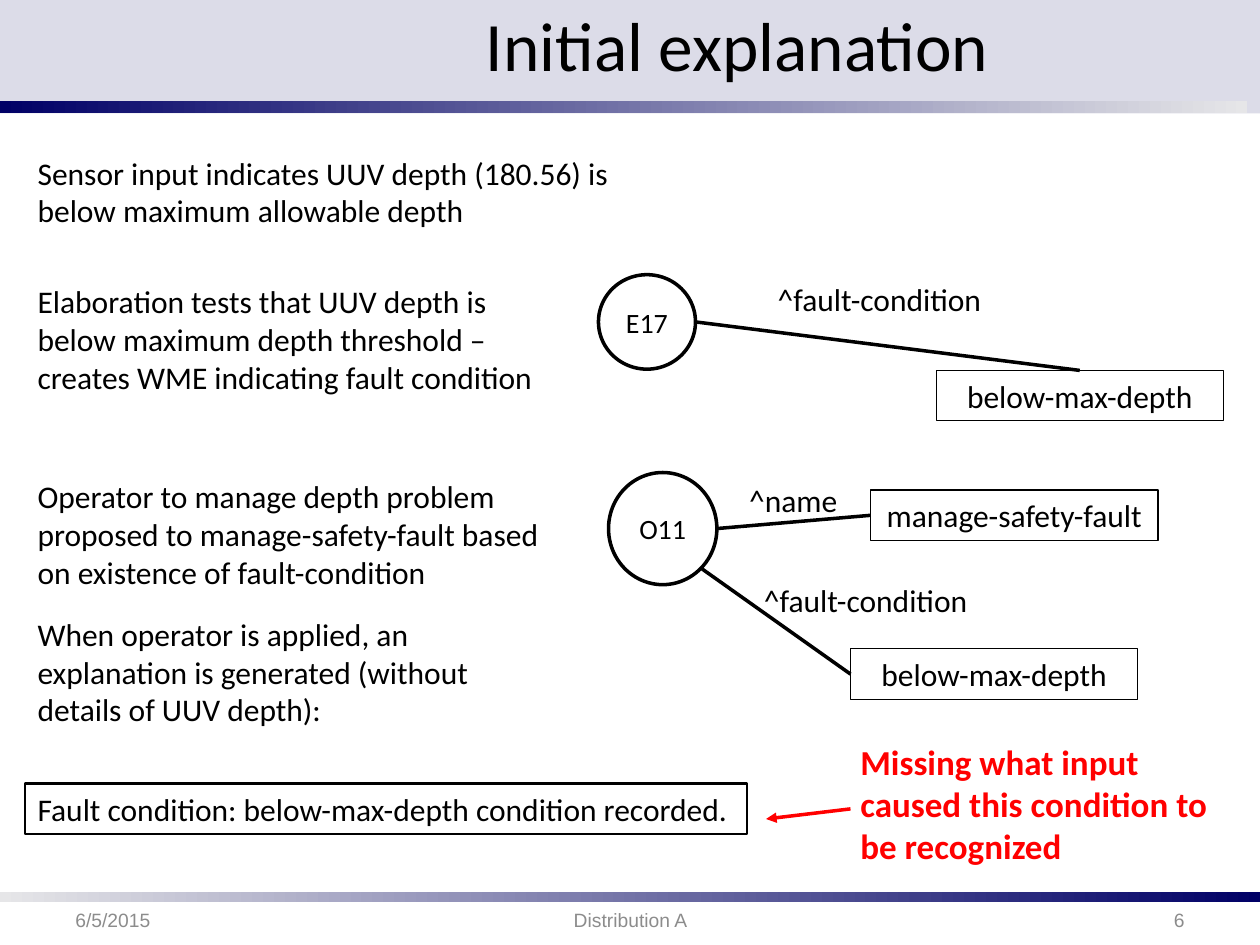
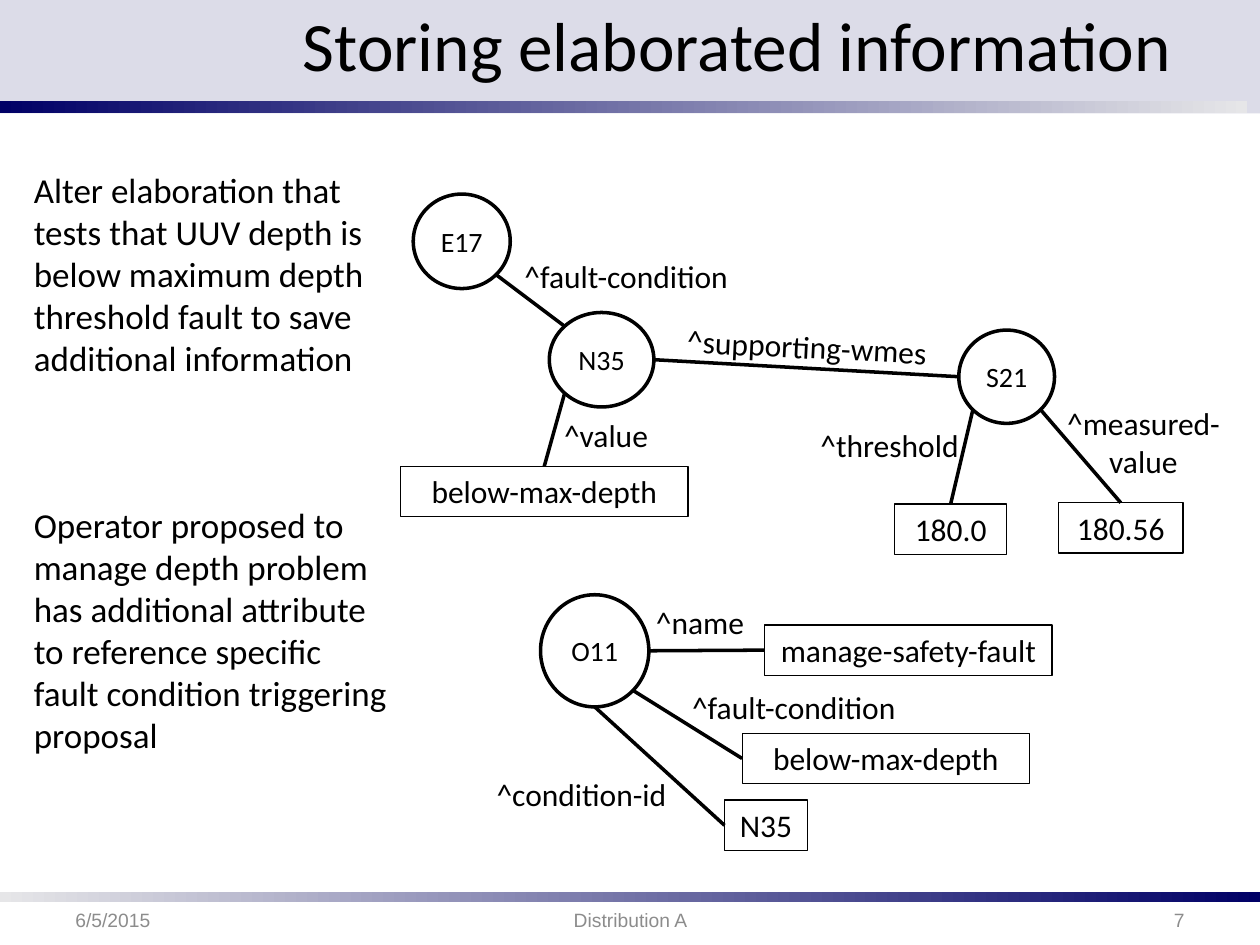
from dataclasses import dataclass
from math import sqrt
from typing import Any, NamedTuple

from lxml.etree import SubElement
from pptx import Presentation
from pptx.dml.color import RGBColor
from pptx.enum.shapes import MSO_CONNECTOR as Connector, MSO_SHAPE as Preset
from pptx.enum.text import MSO_ANCHOR as Anchor, MSO_AUTO_SIZE as AutoSize, PP_ALIGN as Align
from pptx.oxml.ns import qn
from pptx.util import Inches, Pt

WIDTH, HEIGHT = Inches(10), Inches(7.5)
COL, ROW = WIDTH / 100, HEIGHT / 75
LINE_ROWS = 4      # height of a one-line box
WIDE = 22.8        # width of a box that holds a long value
TITLE_ONLY = 5

COLOURS = {
    "ink": "000000", "paper": "FFFFFF", "header": "DCDCE8", "navy": "000066",
    "mist": "E6E6E8", "footer": "8C8C8C", "alert": "FF0000",
}

DIAGONAL = sqrt(0.5)
SITES = {
    "n": (0, -1), "e": (1, 0), "s": (0, 1), "w": (-1, 0),
    "nw": (-DIAGONAL, -DIAGONAL), "sw": (-DIAGONAL, DIAGONAL), "se": (DIAGONAL, DIAGONAL),
}


class Point(NamedTuple):
    col: float
    row: float


class Area(NamedTuple):
    col: float
    row: float
    cols: float
    rows: float = LINE_ROWS

    def emu(self) -> tuple[int, ...]:
        return tuple(round(n * unit) for n, unit in zip(self, (COL, ROW, COL, ROW)))

    def site(self, name: str) -> Point:
        """Point on the outline in the given compass direction."""
        dx, dy = SITES[name]
        return Point(self.col + self.cols * (1 + dx) / 2, self.row + self.rows * (1 + dy) / 2)


@dataclass(frozen=True)
class TextStyle:
    size: float = 18
    colour: str = "ink"
    font: str = "Calibri"
    bold: bool = False
    align: Any = Align.LEFT
    anchor: Any = Anchor.TOP
    wrap: bool = True


@dataclass(frozen=True)
class Node:
    text: str
    area: Area
    is_state: bool = False


@dataclass(frozen=True)
class Edge:
    start: str
    start_site: str
    end: str
    end_site: str


@dataclass(frozen=True)
class Passage:
    text: str
    area: Area
    style: TextStyle
    rotation: float = 0


@dataclass(frozen=True)
class Page:
    title: str
    number: str
    nodes: dict[str, Node]
    edges: list[Edge]
    passages: list[Passage]


TITLE = TextStyle(39.6, align=Align.CENTER, anchor=Anchor.MIDDLE)
FOOTER = TextStyle(11, "footer", "Arial", anchor=Anchor.MIDDLE)
FOOTER_CENTRE = TextStyle(11, "footer", "Arial", align=Align.CENTER, anchor=Anchor.MIDDLE)
FOOTER_RIGHT = TextStyle(11, "footer", "Arial", align=Align.RIGHT, anchor=Anchor.MIDDLE)
STATE = TextStyle(16, align=Align.CENTER, anchor=Anchor.MIDDLE, wrap=False)
VALUE = TextStyle(align=Align.CENTER, wrap=False)
WRAPPED_LABEL = TextStyle(align=Align.CENTER)
BODY = TextStyle()
LARGE_BODY = TextStyle(20)
WARNING = TextStyle(20, "alert", bold=True)

EXPLANATION = Area(2, 62.2, 57.3)
WARNING_ARROW = Point(67.5, 64.2), Point(60.8, 65)


def rgb(name: str) -> RGBColor:
    return RGBColor.from_string(COLOURS[name])


def set_all(target: Any, values: dict[str, Any]) -> None:
    for name, value in values.items():
        setattr(target, name, value)


def write(shape: Any, text: str, style: TextStyle) -> None:
    frame = shape.text_frame
    frame.text = text
    set_all(frame, {"auto_size": AutoSize.NONE, "word_wrap": style.wrap,
                    "vertical_anchor": style.anchor})
    paragraph = frame.paragraphs[0]
    paragraph.alignment = style.align
    font = paragraph.runs[0].font
    set_all(font, {"name": style.font, "size": Pt(style.size), "bold": style.bold})
    font.color.rgb = rgb(style.colour)


def add_passage(slide: Any, passage: Passage) -> None:
    box = slide.shapes.add_textbox(*passage.area.emu())
    box.rotation = passage.rotation
    write(box, passage.text, passage.style)


def add_outline(slide: Any, preset: Any, area: Area, weight: float, filled: bool = False) -> Any:
    shape = slide.shapes.add_shape(preset, *area.emu())
    shape.shadow.inherit = False
    if filled:
        shape.fill.solid()
        shape.fill.fore_color.rgb = rgb("paper")
    else:
        shape.fill.background()
    shape.line.color.rgb = rgb("ink")
    shape.line.width = Pt(weight)
    return shape


def add_node(slide: Any, node: Node) -> None:
    if node.is_state:
        shape, style = add_outline(slide, Preset.OVAL, node.area, 2, filled=True), STATE
    else:
        shape, style = add_outline(slide, Preset.RECTANGLE, node.area, 0.75), VALUE
    write(shape, node.text, style)


def add_line(slide: Any, start: Point, end: Point, colour: str = "ink", arrow: bool = False) -> None:
    line = slide.shapes.add_connector(
        Connector.STRAIGHT, round(start.col * COL), round(start.row * ROW),
        round(end.col * COL), round(end.row * ROW))
    line.line.color.rgb = rgb(colour)
    line.line.width = Pt(2)
    if arrow:
        SubElement(line.line._get_or_add_ln(), qn("a:tailEnd"), type="triangle")
    SubElement(line._element.spPr, qn("a:effectLst"))


def add_band(slide: Any, area: Area, *colours: str) -> None:
    """Borderless band; two colours make a gradient from left to right."""
    band = slide.shapes.add_shape(Preset.RECTANGLE, *area.emu())
    band.shadow.inherit = False
    band.line.fill.background()
    if len(colours) == 1:
        band.fill.solid()
        band.fill.fore_color.rgb = rgb(colours[0])
        return
    band.fill.gradient()
    band.fill.gradient_angle = 0
    for stop, colour in zip(band.fill.gradient_stops, colours):
        stop.color.rgb = rgb(colour)


def add_frame(slide: Any, page: Page) -> None:
    """Bands, title and footers shared by every slide."""
    add_band(slide, Area(0, 0, 100, 9), "header")
    add_band(slide, Area(0, 8, 99, 1), "navy", "mist")
    add_band(slide, Area(0, 70.8, 100, 0.8), "mist", "navy")
    title = slide.shapes.title
    set_all(title, dict(zip(("left", "top", "width", "height"), Area(17.5, 0, 82, 7).emu())))
    write(title, page.title, TITLE)
    slide.shapes._spTree.append(title._element)  # lift the title above the bands
    for text, area, style in (
        ("6/5/2015", Area(5, 71, 23.3), FOOTER),
        ("Distribution A", Area(34.2, 71, 31.7), FOOTER_CENTRE),
        (page.number, Area(71.7, 71, 23.3), FOOTER_RIGHT),
    ):
        add_passage(slide, Passage(text, area, style))


def add_page(deck: Any, page: Page) -> Any:
    slide = deck.slides.add_slide(deck.slide_layouts[TITLE_ONLY])
    add_frame(slide, page)
    for edge in page.edges:
        add_line(slide, page.nodes[edge.start].area.site(edge.start_site),
                 page.nodes[edge.end].area.site(edge.end_site))
    for node in page.nodes.values():
        add_node(slide, node)
    for passage in page.passages:
        add_passage(slide, passage)
    return slide


INITIAL = Page(
    "Initial explanation", "6",
    nodes={
        "elaboration": Node("E17", Area(47.5, 21.8, 7.7, 7.5), True),
        "fault": Node("below-max-depth", Area(74.3, 29.4, WIDE)),
        "operator": Node("O11", Area(48.3, 37.5, 8.6, 8.9), True),
        "name": Node("manage-safety-fault", Area(69.1, 38.9, WIDE)),
        "operator fault": Node("below-max-depth", Area(67.5, 51.5, WIDE)),
    },
    edges=[
        Edge("elaboration", "e", "fault", "n"),
        Edge("operator", "e", "name", "w"),
        Edge("operator", "se", "operator fault", "w"),
    ],
    passages=[
        Passage("Sensor input indicates UUV depth (180.56) is below maximum allowable depth",
                Area(2, 11.7, 47.8, 7.1), BODY),
        Passage("Elaboration tests that UUV depth is below maximum depth threshold – "
                "creates WME indicating fault condition", Area(2, 21.9, 41.3, 13.1), BODY),
        Passage("Operator to manage depth problem proposed to manage-safety-fault based "
                "on existence of fault-condition", Area(2, 37.4, 44.3, 10.1), BODY),
        Passage("When operator is applied, an explanation is generated (without details "
                "of UUV depth):", Area(2, 48.3, 42.7, 10.1), BODY),
        Passage("Missing what input caused this condition to be recognized",
                Area(67.3, 58.3, 29.7, 11.1), WARNING),
        Passage("^fault-condition", Area(60.3, 21.7, 19), VALUE),
        Passage("^name", Area(58.4, 37.7, 9.1), VALUE),
        Passage("^fault-condition", Area(59.2, 45.6, 19), VALUE),
    ],
)

STORING = Page(
    "Storing elaborated information", "7",
    nodes={
        "elaboration": Node("E17", Area(32.8, 15.4, 7.7, 7.5), True),
        "condition": Node("N35", Area(43.6, 24.8, 8.3, 7.5), True),
        "support": Node("S21", Area(76.1, 26.2, 7.6, 7.4), True),
        "fault": Node("below-max-depth", Area(31.8, 37, WIDE)),
        "threshold": Node("180.0", Area(71, 40, 8.9)),
        "measured": Node("180.56", Area(84, 39.9, 9.9)),
        "operator": Node("O11", Area(42.9, 47.2, 8.6, 8.9), True),
        "name": Node("manage-safety-fault", Area(60.7, 49.6, WIDE)),
        "operator fault": Node("below-max-depth", Area(58.9, 58.2, WIDE)),
        "condition id": Node("N35", Area(57.5, 63.5, 6.6)),
    },
    edges=[
        Edge("elaboration", "se", "condition", "nw"),
        Edge("condition", "sw", "fault", "n"),
        Edge("condition", "e", "support", "w"),
        Edge("support", "sw", "threshold", "n"),
        Edge("support", "se", "measured", "n"),
        Edge("operator", "e", "name", "w"),
        Edge("operator", "se", "operator fault", "w"),
        Edge("operator", "s", "condition id", "w"),
    ],
    passages=[
        Passage("Alter elaboration that tests that UUV depth is below maximum depth "
                "threshold fault to save additional information",
                Area(1.7, 12.9, 30.9, 17.8), LARGE_BODY),
        Passage("Operator proposed to manage depth problem has additional attribute to "
                "reference specific fault condition triggering proposal",
                Area(1.7, 39.5, 30, 24.6), LARGE_BODY),
        Passage("^fault-condition", Area(40.5, 19.9, 18.4), VALUE),
        Passage("^value", Area(43.1, 32.5, 10), VALUE),
        Passage("^supporting-wmes", Area(53.4, 25.5, 21.3), VALUE, rotation=2.9),
        Passage("^threshold", Area(63.9, 33.3, 13.4), VALUE),
        Passage("^measured-value", Area(83.6, 31.6, 14.3, 7.1), WRAPPED_LABEL),
        Passage("^name", Area(51, 47.4, 9.1), VALUE),
        Passage("^fault-condition", Area(53.5, 54.1, 19), VALUE),
        Passage("^condition-id", Area(38.3, 61, 15.7), VALUE),
    ],
)


def main() -> None:
    deck = Presentation()
    set_all(deck, {"slide_width": WIDTH, "slide_height": HEIGHT})
    initial = add_page(deck, INITIAL)
    explanation = add_outline(initial, Preset.RECTANGLE, EXPLANATION, 1.5)
    write(explanation, "Fault condition: below-max-depth condition recorded.", BODY)
    add_line(initial, *WARNING_ARROW, colour="alert", arrow=True)
    add_page(deck, STORING)
    deck.save("out.pptx")


if __name__ == "__main__":
    main()
